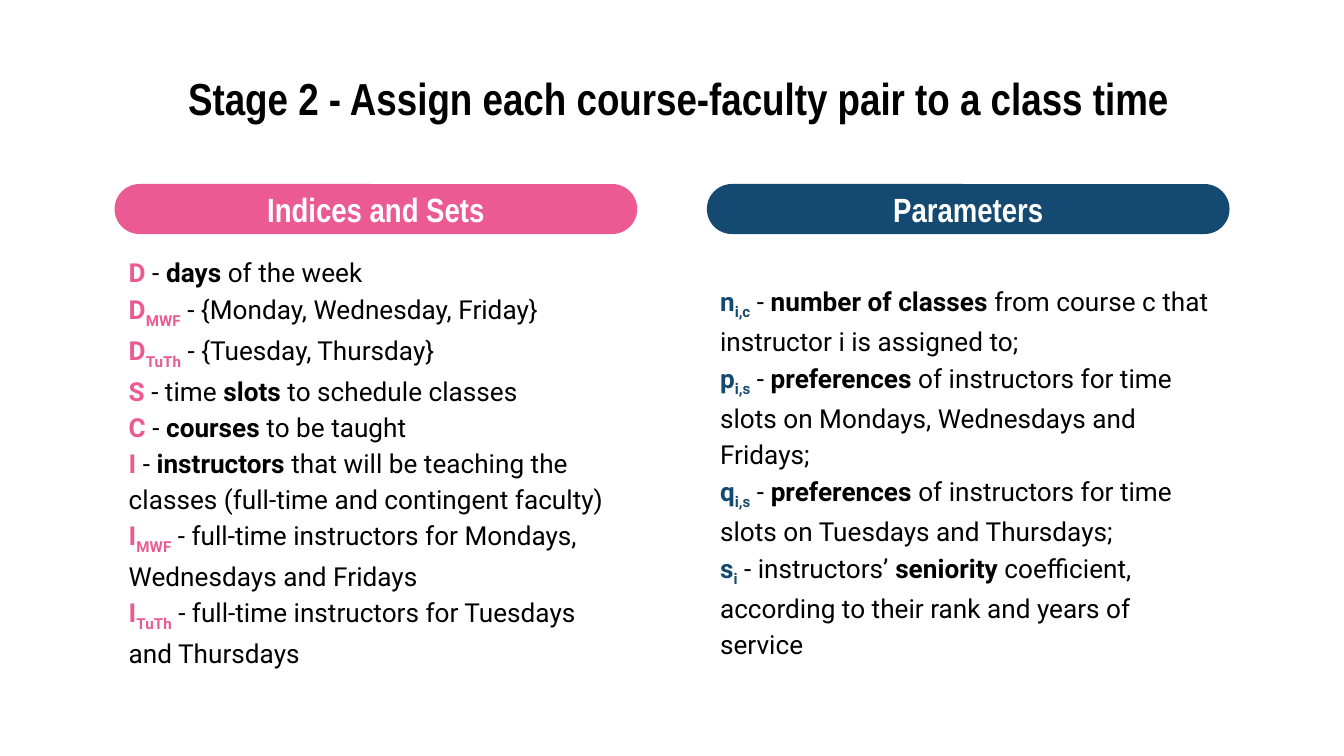
import pptx
import pptx.util
import pptx.dml.color
import pptx.enum.shapes
import pptx.enum.text

Pt = pptx.util.Pt
ALIGN = pptx.enum.text.PP_ALIGN
ANCHOR = pptx.enum.text.MSO_ANCHOR
AUTO_SIZE = pptx.enum.text.MSO_AUTO_SIZE

COLORS = {"pink": "EB5A93", "navy": "144971", "black": "000000", "white": "FFFFFF"}
HEADING_FONT = "Arial Narrow"
BODY_FONT = "Roboto"

# Each definition: symbol, subscript, lead-in, emphasised words, rest
INDICES = [
    ("D", "", " - ", "days", " of the week"),
    ("D", "MWF", " - {Monday, Wednesday, Friday}", "", ""),
    ("D", "TuTh", " - {Tuesday, Thursday}", "", ""),
    ("S", "", " - time ", "slots", " to schedule classes"),
    ("C", "", " - ", "courses", " to be taught"),
    ("I", "", " - ", "instructors",
     " that will be teaching the classes (full-time and contingent faculty)"),
    ("I", "MWF", " - full-time instructors for Mondays, Wednesdays and Fridays", "", ""),
    ("I", "TuTh", " - full-time instructors for Tuesdays and Thursdays", "", ""),
]
PARAMETERS = [
    ("n", "i,c", " - ", "number of classes",
     " from course c that instructor i is assigned to;"),
    ("p", "i,s", " - ", "preferences",
     " of instructors for time slots on Mondays, Wednesdays and Fridays;"),
    ("q", "i,s", " - ", "preferences",
     " of instructors for time slots on Tuesdays and Thursdays;"),
    ("s", "i", " - instructors’ ", "seniority",
     " coefficient, according to their rank and years of service"),
]


def rgb(name):
    return pptx.dml.color.RGBColor.from_string(COLORS[name])


def add_text(paragraph, text, font=BODY_FONT, size=14, color="black", bold=False, baseline=0):
    run = paragraph.add_run()
    run.text = text
    run.font.name = font
    run.font.size = Pt(size)
    run.font.bold = bold
    run.font.color.rgb = rgb(color)
    if baseline:
        run.font._element.set("baseline", str(baseline * 1000))


def set_frame(frame, anchor):
    frame.word_wrap = True
    frame.vertical_anchor = anchor
    frame.margin_left = frame.margin_right = Pt(7.2)
    frame.margin_top = frame.margin_bottom = Pt(7.2)


def place_title(slide, box, text):
    title = slide.shapes.title
    title.left, title.top, title.width, title.height = map(Pt, box)
    set_frame(title.text_frame, ANCHOR.MIDDLE)
    title.text_frame.auto_size = AUTO_SIZE.NONE
    paragraph = title.text_frame.paragraphs[0]
    paragraph.alignment = ALIGN.CENTER
    add_text(paragraph, text, font=HEADING_FONT, size=24, bold=True)


def place_heading(slide, box, text, color):
    pill = slide.shapes.add_shape(
        pptx.enum.shapes.MSO_SHAPE.ROUNDED_RECTANGLE, *map(Pt, box))
    pill.adjustments[0] = 0.5
    pill.shadow.inherit = False
    pill.fill.solid()
    pill.fill.fore_color.rgb = rgb(color)
    pill.line.fill.background()
    set_frame(pill.text_frame, ANCHOR.MIDDLE)
    paragraph = pill.text_frame.paragraphs[0]
    paragraph.alignment = ALIGN.CENTER
    add_text(paragraph, text, font=HEADING_FONT, size=18, color="white", bold=True)


def place_definitions(slide, box, definitions, color, anchor):
    frame = slide.shapes.add_textbox(*map(Pt, box)).text_frame
    set_frame(frame, anchor)
    frame.auto_size = AUTO_SIZE.SHAPE_TO_FIT_TEXT
    for index, (symbol, subscript, lead, strong, rest) in enumerate(definitions):
        paragraph = frame.add_paragraph() if index else frame.paragraphs[0]
        paragraph.line_spacing = 1.15
        add_text(paragraph, symbol, color=color, bold=True)
        if subscript:
            add_text(paragraph, subscript, color=color, bold=True, baseline=-25)
        add_text(paragraph, lead)
        if strong:
            add_text(paragraph, strong, bold=True)
            add_text(paragraph, rest)


def main():
    presentation = pptx.Presentation()
    presentation.slide_width, presentation.slide_height = Pt(720), Pt(405)
    slide = presentation.slides.add_slide(presentation.slide_layouts[5])

    place_title(slide, (28, 29.5, 671, 45.4),
                "Stage 2 - Assign each course-faculty pair to a class time")

    # Two columns of equal width
    left, right, width = 61.4, 378.7, 280
    place_heading(slide, (left, 98.6, width, 26.8), "Indices and Sets", "pink")
    place_heading(slide, (right, 98.6, width, 26.8), "Parameters", "navy")
    place_definitions(slide, (left + 0.5, 133.2, width, 226.8), INDICES, "pink", ANCHOR.MIDDLE)
    place_definitions(slide, (right, 142.6, width, 207.4), PARAMETERS, "navy", ANCHOR.TOP)

    presentation.save("out.pptx")


if __name__ == "__main__":
    main()
